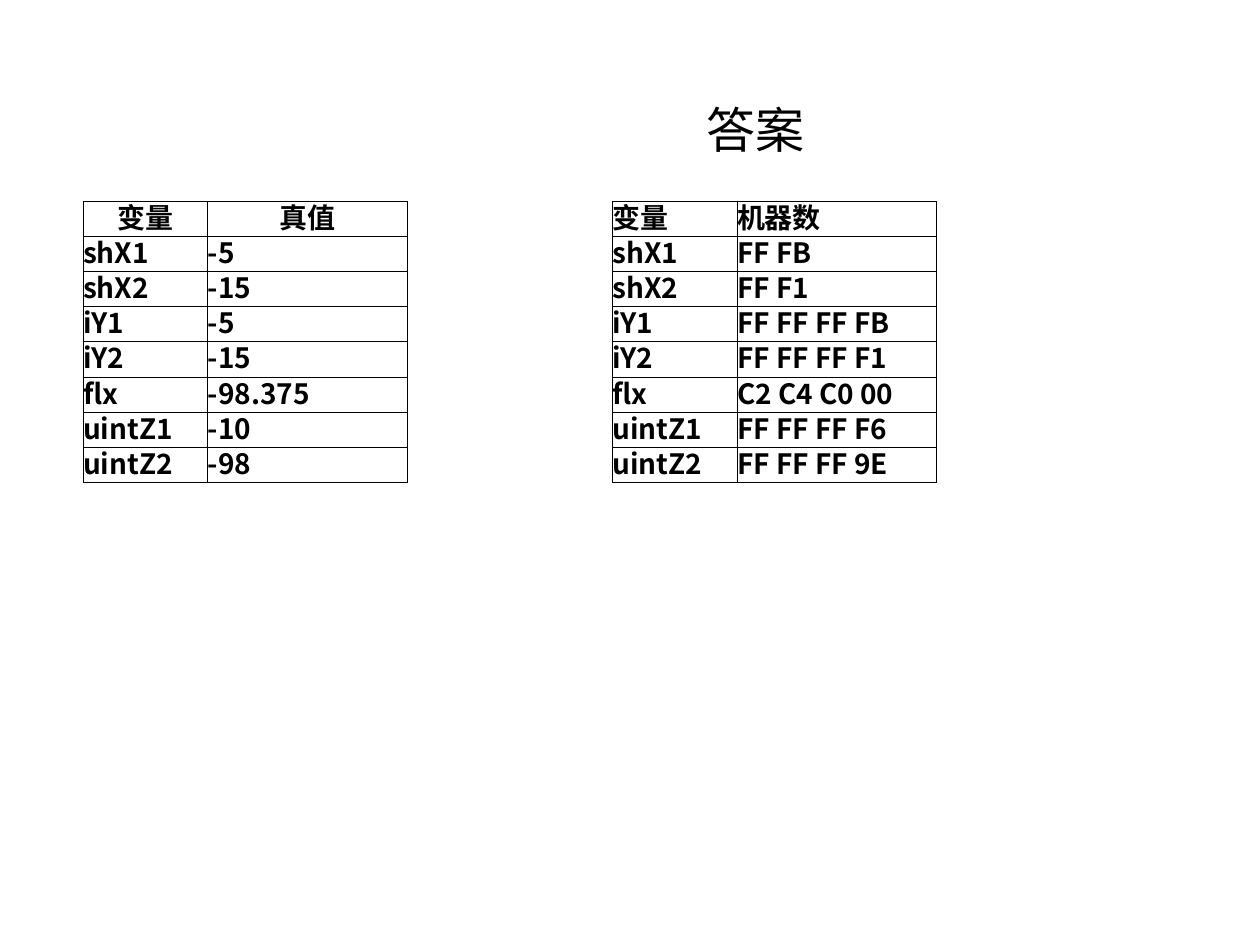
from dataclasses import dataclass

from lxml import etree
from pptx import Presentation
from pptx.dml.color import RGBColor
from pptx.enum.text import MSO_ANCHOR, PP_ALIGN
from pptx.oxml.ns import qn
from pptx.util import Inches, Pt

MIDDLE = MSO_ANCHOR.MIDDLE
LEFT, CENTER = PP_ALIGN.LEFT, PP_ALIGN.CENTER
COLORS = {"text": "000000", "border": "000000"}
TABLE_FONT, TITLE_FONT = "Noto Sans CJK SC", "Arial"
TABLE_TOP = 1.6
COLUMN_WIDTHS = (0.99, 1.58)
ROW_HEIGHT = Pt(20)
VARIABLES = ("shX1", "shX2", "iY1", "iY2", "flx", "uintZ1", "uintZ2")


@dataclass(frozen=True)
class ValueTable:
    """One table that gives a value for each variable."""

    left: float
    heading: str
    values: tuple[str, ...]
    heading_alignment: PP_ALIGN = LEFT


TABLES = (
    ValueTable(4.86, "机器数", ("FF FB", "FF F1", "FF FF FF FB", "FF FF FF F1",
                             "C2 C4 C0 00", "FF FF FF F6", "FF FF FF 9E")),
    ValueTable(0.66, "真值", ("-5", "-15", "-5", "-15", "-98.375", "-10", "-98"), CENTER),
)


def write_text(frame, text: str, *, size: float, font: str, bold: bool = False,
               alignment: PP_ALIGN = LEFT, line_height: float | None = None) -> None:
    """Write one formatted paragraph into a text frame."""
    paragraph = frame.paragraphs[0]
    paragraph.alignment = alignment
    if line_height:
        paragraph.line_spacing = Pt(line_height)
    run = paragraph.add_run()
    run.text = text
    run.font.size = Pt(size)
    run.font.bold = bold
    run.font.color.rgb = RGBColor.from_string(COLORS["text"])
    run.font.name = font
    etree.SubElement(run.font._element, qn("a:ea"), typeface=font)


def style_cell(cell) -> None:
    """Give a cell thin borders, no margins and no fill."""
    cell.margin_left = cell.margin_right = cell.margin_top = cell.margin_bottom = 0
    cell.vertical_anchor = MIDDLE
    properties = cell._tc.get_or_add_tcPr()
    for side in ("lnL", "lnR", "lnT", "lnB"):
        line = etree.SubElement(properties, qn(f"a:{side}"), w=str(Pt(0.5)))
        fill = etree.SubElement(line, qn("a:solidFill"))
        etree.SubElement(fill, qn("a:srgbClr"), val=COLORS["border"])
    cell.fill.background()


def draw_table(slide, item: ValueTable) -> None:
    """Draw a table of variables and their values."""
    rows = [("变量", item.heading), *zip(VARIABLES, item.values)]
    table = slide.shapes.add_table(
        len(rows), len(COLUMN_WIDTHS), Inches(item.left), Inches(TABLE_TOP),
        Inches(sum(COLUMN_WIDTHS)), ROW_HEIGHT * len(rows)).table
    table.horz_banding = False
    for column, width in zip(table.columns, COLUMN_WIDTHS):
        column.width = Inches(width)
    for row_index, texts in enumerate(rows):
        table.rows[row_index].height = ROW_HEIGHT
        for column_index, text in enumerate(texts):
            cell = table.cell(row_index, column_index)
            style_cell(cell)
            write_text(cell.text_frame, text, size=16, font=TABLE_FONT, bold=True, line_height=20,
                       alignment=LEFT if row_index else item.heading_alignment)


def draw_title(slide) -> None:
    """Draw the slide's heading."""
    box = slide.shapes.add_textbox(Inches(5.51), Inches(0.74), Inches(1.05), Inches(0.57))
    box.text_frame.word_wrap = True
    write_text(box.text_frame, "答案", size=28, font=TITLE_FONT)


def main() -> None:
    """Build and save the slide."""
    presentation = Presentation()
    presentation.slide_width, presentation.slide_height = Inches(10), Inches(7.5)
    slide = presentation.slides.add_slide(presentation.slide_layouts[6])
    for item in TABLES:
        draw_table(slide, item)
    draw_title(slide)
    presentation.save("out.pptx")


main()
